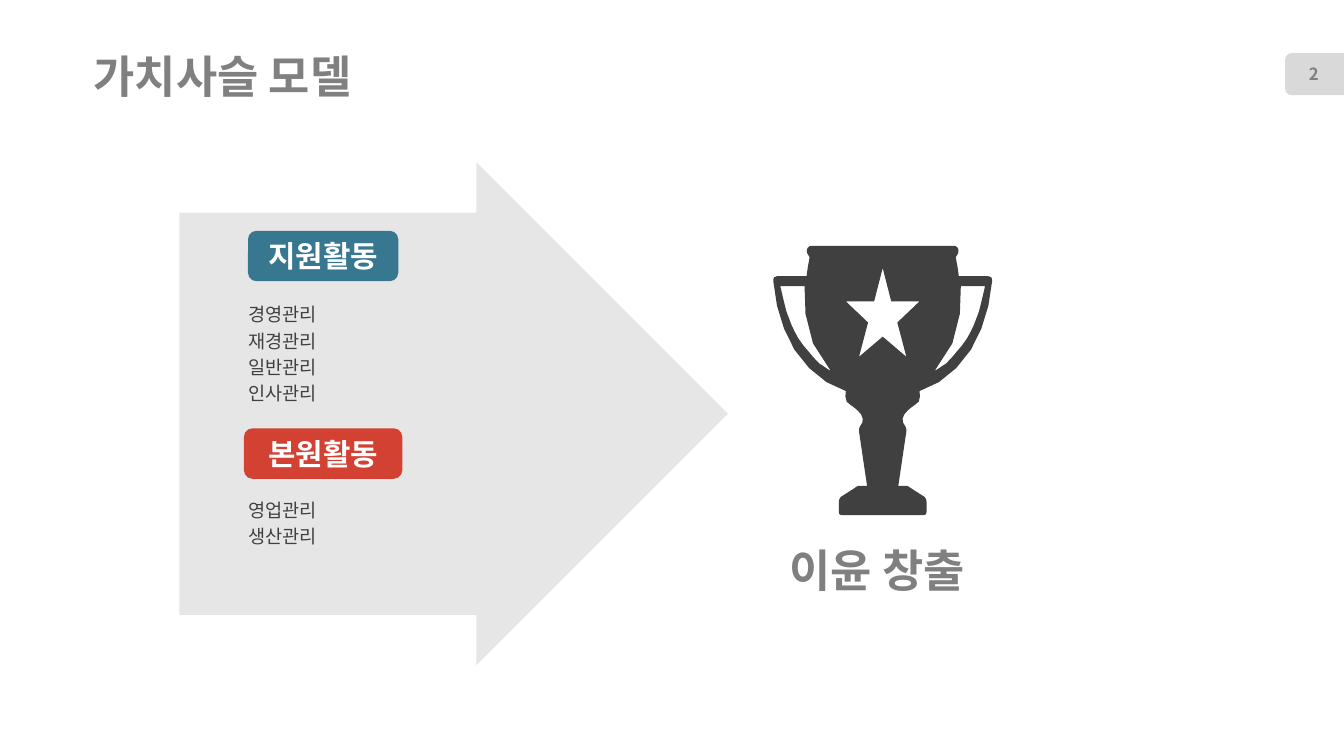
from dataclasses import dataclass

from lxml.etree import SubElement
from pptx import Presentation
from pptx.dml.color import RGBColor
from pptx.enum.shapes import MSO_SHAPE
from pptx.enum.text import MSO_ANCHOR, PP_ALIGN
from pptx.oxml.ns import qn
from pptx.shapes.autoshape import Shape
from pptx.slide import Slide
from pptx.util import Inches, Pt

Point = tuple[float, float]
# A step is a line end (x, y) or a cubic curve (two controls and an end)
Step = tuple[float, ...]


@dataclass(frozen=True)
class Theme:
    font: str = "Noto Sans CJK KR"
    label_font: str = "Roboto Condensed"
    heading: str = "808080"
    body: str = "404040"
    white: str = "FFFFFF"
    arrow: str = "E6E6E6"
    page_tab: str = "D9D9D9"
    support: str = "377790"
    primary: str = "D24132"
    heading_size: float = 32
    label_size: float = 21.3
    body_size: float = 13.3
    page_size: float = 12


@dataclass(frozen=True)
class Box:
    left: float
    top: float
    width: float
    height: float

    def lengths(self) -> list[int]:
        return [Inches(v) for v in (self.left, self.top, self.width, self.height)]


@dataclass(frozen=True)
class TextStyle:
    size: float
    color: str
    bold: bool = True
    font: str = Theme.font
    align: PP_ALIGN = PP_ALIGN.LEFT
    line_spacing: float | None = None
    space_before: float = 0


@dataclass(frozen=True)
class Activity:
    label: str
    color: str
    label_box: Box
    items: tuple[str, ...]
    items_box: Box


THEME = Theme()
HEADING = TextStyle(THEME.heading_size, THEME.heading, line_spacing=0.9)
PAGE = TextStyle(THEME.page_size, THEME.heading, align=PP_ALIGN.CENTER)
LABEL = TextStyle(THEME.label_size, THEME.white, font=THEME.label_font, align=PP_ALIGN.CENTER)
BODY = TextStyle(THEME.body_size, THEME.body, bold=False, space_before=2.7)

ACTIVITIES = (
    Activity("지원활동", THEME.support, Box(2.46, 2.29, 1.49, 0.5),
             ("경영관리", "재경관리", "일반관리", "인사관리"), Box(2.46, 3.01, 3.22, 1.03)),
    Activity("본원활동", THEME.primary, Box(2.42, 4.25, 1.57, 0.5),
             ("영업관리", "생산관리"), Box(2.46, 4.95, 3.11, 0.78)),
)

# Left half of the trophy; x and MIRROR_SUM - x are symmetric
MIRROR_SUM = 17.51
CUP_HALF: list[Step] = [
    (8.04, 2.44), (8.03, 2.44, 8.02, 2.45, 8.01, 2.46),
    (8, 2.48, 8, 2.5, 8.01, 2.52), (8.02, 2.53, 8.02, 2.54, 8.03, 2.55),
    (8.03, 2.57, 8.01, 2.64, 8, 2.74), (7.71, 2.74),
    (7.7, 2.74, 7.69, 2.75, 7.68, 2.75), (7.67, 2.76, 7.67, 2.78, 7.67, 2.79),
    (7.69, 3.04, 7.76, 3.27, 7.88, 3.47), (8.01, 3.67, 8.19, 3.82, 8.39, 3.88),
    (8.38, 3.93, 8.38, 4, 8.44, 4.02), (8.47, 4.04, 8.51, 4.07, 8.54, 4.11),
    (8.57, 4.15, 8.56, 4.2, 8.53, 4.23), (8.52, 4.25, 8.52, 4.26, 8.52, 4.28),
    (8.6, 4.82), (8.52, 4.82), (8.51, 4.82, 8.49, 4.83, 8.48, 4.84),
    (8.34, 4.93), (8.33, 4.94, 8.32, 4.96, 8.32, 4.98),
    (8.32, 5.08), (8.32, 5.1, 8.33, 5.11, 8.35, 5.11),
]
HANDLE_HOLE: list[Step] = [
    (7.74, 2.84), (7.98, 2.84), (7.97, 3.09, 8, 3.43, 8.24, 3.68),
    (8.2, 3.66, 8.17, 3.63, 8.13, 3.61), (8.09, 3.57, 8.07, 3.55, 8.03, 3.5),
    (7.97, 3.43), (7.92, 3.36), (7.88, 3.29, 7.85, 3.23, 7.83, 3.17),
    (7.8, 3.09), (7.77, 2.97),
]
STAR_HALF: list[Step] = [
    (MIRROR_SUM / 2, 2.66), (8.67, 2.99), (8.39, 2.99),
    (8.61, 3.2), (8.52, 3.54), (MIRROR_SUM / 2, 3.34),
]


def trace(steps: list[Step], samples: int = 3) -> list[Point]:
    """Turn lines and cubic curves into a list of points."""
    points: list[Point] = []
    for step in steps:
        if len(step) == 2:
            points.append((step[0], step[1]))
            continue
        x0, y0 = points[-1]
        x1, y1, x2, y2, x3, y3 = step
        for index in range(1, samples + 1):
            t = index / samples
            a, b, c, d = (1 - t) ** 3, 3 * t * (1 - t) ** 2, 3 * t * t * (1 - t), t ** 3
            points.append((a * x0 + b * x1 + c * x2 + d * x3,
                           a * y0 + b * y1 + c * y2 + d * y3))
    return points


def mirror(points: list[Point]) -> list[Point]:
    return [(MIRROR_SUM - x, y) for x, y in reversed(points)]


def paint(shape: Shape, color: str) -> None:
    shape.shadow.inherit = False
    shape.fill.solid()
    shape.fill.fore_color.rgb = RGBColor.from_string(color)
    shape.line.fill.background()


def add_block(slide: Slide, kind: MSO_SHAPE, box: Box, color: str) -> Shape:
    shape = slide.shapes.add_shape(kind, *box.lengths())
    paint(shape, color)
    return shape


def write(shape: Shape, text: str, style: TextStyle, anchor: MSO_ANCHOR) -> None:
    text_frame = shape.text_frame
    text_frame.text = text
    text_frame.word_wrap = True
    text_frame.vertical_anchor = anchor
    for paragraph in text_frame.paragraphs:
        paragraph.alignment = style.align
        paragraph.line_spacing = style.line_spacing
        paragraph.space_before = Pt(style.space_before)
        for run in paragraph.runs:
            run.font.size = Pt(style.size)
            run.font.bold = style.bold
            run.font.name = style.font
            run.font.color.rgb = RGBColor.from_string(style.color)
            # Korean text takes the East Asian typeface
            SubElement(run.font._element, qn("a:ea")).set("typeface", style.font)


def add_text(slide: Slide, box: Box, text: str, style: TextStyle,
             anchor: MSO_ANCHOR = MSO_ANCHOR.MIDDLE) -> None:
    shape = slide.shapes.add_textbox(*box.lengths())
    write(shape, text, style, anchor)
    text_frame = shape.text_frame
    text_frame.margin_left = text_frame.margin_right = 0
    text_frame.margin_top = text_frame.margin_bottom = 0


def add_trophy(slide: Slide) -> None:
    cup, hole, star = (trace(steps) for steps in (CUP_HALF, HANDLE_HOLE, STAR_HALF))
    outlines = [cup + mirror(cup), hole, mirror(hole), star + mirror(star)[1:-1]]
    contours = [[(Inches(x), Inches(y)) for x, y in outline] for outline in outlines]
    builder = slide.shapes.build_freeform(*contours[0][0])
    for index, contour in enumerate(contours):
        if index:
            builder.move_to(*contour[0])
        builder.add_line_segments(contour[1:], close=True)
    paint(builder.convert_to_shape(), THEME.body)


def main() -> None:
    presentation = Presentation()
    presentation.slide_width = Inches(13.33)
    presentation.slide_height = Inches(7.5)
    slide = presentation.slides.add_slide(presentation.slide_layouts[6])

    # Page number tab
    tab = add_block(slide, MSO_SHAPE.ROUND_2_SAME_RECTANGLE,
                    Box(12.83, 0.44, 0.42, 0.59), THEME.page_tab)
    tab.rotation = 270
    add_text(slide, Box(12.75, 0.53, 0.56, 0.4), "2", PAGE)

    # Title
    add_text(slide, Box(0.93, 0.52, 8.22, 0.52), "가치사슬 모델", HEADING)

    # Value chain arrow
    arrow = add_block(slide, MSO_SHAPE.RIGHT_ARROW, Box(1.78, 1.61, 5.44, 4.99), THEME.arrow)
    arrow.adjustments[0] = 0.8
    arrow.adjustments[1] = 0.5

    # Activities
    for activity in ACTIVITIES:
        label = add_block(slide, MSO_SHAPE.ROUNDED_RECTANGLE, activity.label_box, activity.color)
        write(label, activity.label, LABEL, MSO_ANCHOR.MIDDLE)
        add_text(slide, activity.items_box, "\n".join(activity.items), BODY, MSO_ANCHOR.TOP)

    # Result
    add_trophy(slide)
    add_text(slide, Box(7.83, 5.42, 3.07, 0.52), "이윤 창출", HEADING)

    presentation.save("out.pptx")


if __name__ == "__main__":
    main()
